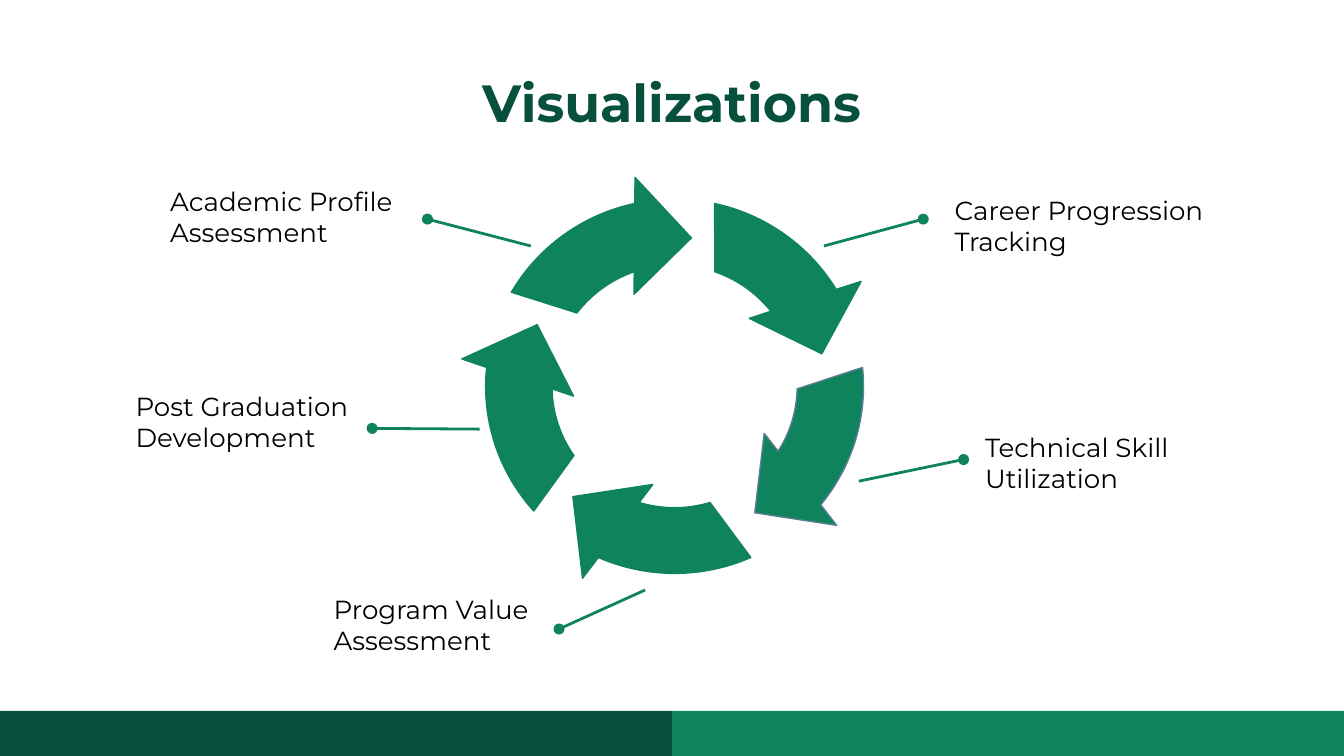
"""Build a slide with a ring of five arrows and their labels."""
import math

from lxml import etree
from pptx import Presentation
from pptx import util as u
from pptx.dml.color import RGBColor
from pptx.enum import shapes, text
from pptx.oxml import ns

DARK_GREEN = RGBColor(0x06, 0x50, 0x3D)
GREEN = RGBColor(0x0E, 0x83, 0x5C)
SLATE = RGBColor(0x5F, 0x7D, 0x95)
BLACK = RGBColor(0, 0, 0)
FONT = "Montserrat"

CENTER = (361.4, 207)
STRETCH = 1.01
OUTER, INNER = 100.2, 65
OUTER_SWEEP, INNER_SWEEP = 23.8, 16.8
HEAD = [(113.8, 25.4), (80, 42.4), (53.8, 12.4)]

LABELS = [
    ("Academic Profile Assessment", 84.1, 91.9, 138.2, 44),
    ("Technical Skill Utilization", 520.6, 223.9, 123.1, 32.4),
    ("Career Progression Tracking", 504.3, 96.8, 170.6, 32.4),
    ("Post Graduation Development", 65.5, 201.8, 138.2, 32.4),
    ("Program Value Assessment", 171.7, 310.5, 170.6, 32.4),
]
LEADERS = [
    (284.4, 131.8, 229, 117.4),
    (257, 229.9, 199.4, 229.5),
    (441.4, 131.8, 494.6, 117.4),
    (460.1, 257.8, 516.2, 246.2),
    (345.6, 316.1, 299.5, 337),
]
ARROWS = [(324, 0, GREEN), (252, 0, GREEN), (180, 0, GREEN),
          (108, 2.5, SLATE), (36, 1, GREEN)]


def write_text(box, content, size, color, **paragraph_format):
    """Fill a top-anchored text shape with one formatted paragraph."""
    frame = box.text_frame
    settings = {"word_wrap": True, "auto_size": text.MSO_AUTO_SIZE.NONE,
                "vertical_anchor": text.MSO_ANCHOR.TOP}
    settings.update({f"margin_{side}": u.Pt(7.2)
                     for side in ("left", "right", "top", "bottom")})
    for name, value in settings.items():
        setattr(frame, name, value)
    para = frame.paragraphs[0]
    for name, value in paragraph_format.items():
        setattr(para, name, value)
    span = para.add_run()
    span.text = content
    span.font.name = FONT
    span.font.size = u.Pt(size)
    span.font.color.rgb = color
    return span


def add_title(page, content):
    """Place and format the title placeholder."""
    box = page.shapes.title
    place = {"left": 56.2, "top": 30.2, "width": 607, "height": 73.4}
    for name, value in place.items():
        setattr(box, name, u.Pt(value))
    span = write_text(box, content, 28, DARK_GREEN, alignment=text.PP_ALIGN.CENTER)
    span.font.bold = True


def add_label(page, content, *place):
    """Add a text label."""
    box = page.shapes.add_textbox(*map(u.Pt, place))
    write_text(box, content, 14, BLACK, space_after=u.Pt(16))


def add_footer_bar(page, left, color):
    """Add one half of the footer band."""
    bar = page.shapes.add_shape(shapes.MSO_SHAPE.RECTANGLE,
                                *map(u.Pt, (left, 380.8, 360, 24.2)))
    bar.shadow.inherit = False
    bar.fill.solid()
    bar.fill.fore_color.rgb = color
    bar.line.fill.background()


def add_leader(page, *ends):
    """Add a leader line that ends in a dot."""
    leader = page.shapes.add_connector(shapes.MSO_CONNECTOR.STRAIGHT,
                                       *map(u.Pt, ends))
    leader.line.color.rgb = GREEN
    leader.line.width = u.Pt(1.5)
    outline = leader.line._get_or_add_ln()
    etree.SubElement(outline, ns.qn("a:tailEnd"), type="oval")
    etree.SubElement(leader._element.spPr, ns.qn("a:effectLst"))


def ring_point(radius, angle):
    """Return the point at an angle clockwise from the top of the ring."""
    turn = math.radians(angle)
    return (u.Pt(CENTER[0] + STRETCH * radius * math.sin(turn)),
            u.Pt(CENTER[1] - radius * math.cos(turn)))


def arc(radius, start, end):
    """Return the two control points and the end of a curve along the ring."""
    pull = 4 / 3 * math.tan(math.radians(end - start) / 4)
    reach = radius * math.hypot(1, pull)
    lean = math.degrees(math.atan(pull))
    return [ring_point(reach, start + lean), ring_point(reach, end - lean),
            ring_point(radius, end)]


def build_outline(page, start, segments):
    """Build a closed shape from one-point lines and three-point curves."""
    builder = page.shapes.build_freeform(*start)
    builder.add_line_segments([point for part in segments for point in part],
                              close=True)
    outline = builder.convert_to_shape()
    lines = iter(list(outline._element.iter(ns.qn("a:lnTo"))))
    for part in segments:
        step = next(lines)
        if len(part) == 3:
            step.tag = ns.qn("a:cubicBezTo")
            for _ in range(2):
                extra = next(lines)
                step.append(extra[0])
                extra.getparent().remove(extra)
    return outline


def add_ring_arrow(page, middle, shortening, line_color):
    """Add one curved arrow whose head is drawn back by the shortening."""
    front = middle - shortening
    tail = middle - OUTER_SWEEP
    neck = front + OUTER_SWEEP
    half = (tail + neck) / 2
    head = [(radius, front + angle) for radius, angle in HEAD]
    head += [(INNER, front + INNER_SWEEP)]
    segments = [arc(OUTER, tail, half), arc(OUTER, half, neck)]
    segments += [[ring_point(*corner)] for corner in head]
    segments += [arc(INNER, front + INNER_SWEEP, middle - INNER_SWEEP)]
    arrow = build_outline(page, ring_point(OUTER, tail), segments)
    arrow.shadow.inherit = False
    arrow.fill.solid()
    arrow.fill.fore_color.rgb = GREEN
    arrow.line.color.rgb = line_color
    arrow.line.width = u.Pt(0.75)


def main():
    """Build and save the deck."""
    deck = Presentation()
    deck.slide_width, deck.slide_height = u.Pt(720), u.Pt(405)
    page = deck.slides.add_slide(deck.slide_layouts[5])
    add_footer_bar(page, 0, DARK_GREEN)
    add_footer_bar(page, 360, GREEN)
    add_title(page, "Visualizations")
    for label in LABELS:
        add_label(page, *label)
    for leader in LEADERS:
        add_leader(page, *leader)
    for arrow in ARROWS:
        add_ring_arrow(page, *arrow)
    deck.save("out.pptx")


if __name__ == "__main__":
    main()
